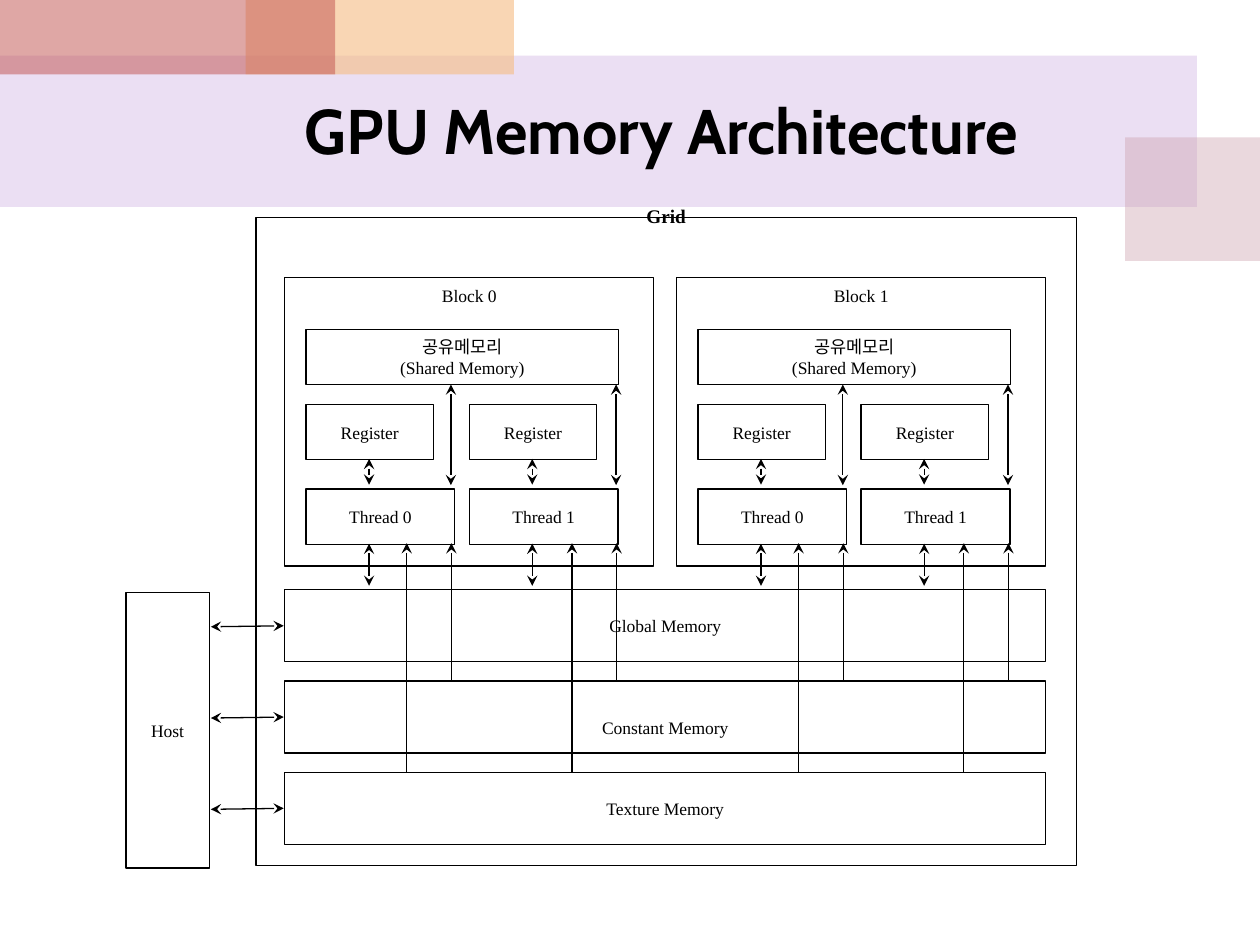
from dataclasses import dataclass

from lxml import etree
from pptx import Presentation
from pptx.dml.color import RGBColor
from pptx.enum import shapes, text
from pptx.oxml import ns
from pptx.util import Cm, Pt


@dataclass(frozen=True)
class Theme:
    ink: str = "000000"
    banner: str = "BF98D8"
    rose: str = "CC9EAC"
    peach: str = "F5BC83"
    red: str = "C0504D"
    title_font: str = "Cabin"
    label_font: str = "Times New Roman"
    title_size: int = 36
    grid_size: int = 11
    label_size: int = 10
    line_width: float = 0.75


THEME = Theme()
MIDDLE = text.MSO_ANCHOR.MIDDLE
TOP = text.MSO_ANCHOR.TOP


def write(paragraph, words, font, size, bold=False):
    run = paragraph.add_run()
    run.text = words
    run.font.name = font
    run.font.size = Pt(size)
    run.font.bold = bold
    run.font.color.rgb = RGBColor.from_string(THEME.ink)


def rectangle(slide, x, y, w, h):
    rect = slide.shapes.add_shape(
        shapes.MSO_SHAPE.RECTANGLE, Cm(x), Cm(y), Cm(w), Cm(h))
    rect.shadow.inherit = False
    return rect


def tint(slide, x, y, w, h, color, opacity):
    rect = rectangle(slide, x, y, w, h)
    rect.line.fill.background()
    rect.fill.solid()
    rect.fill.fore_color.rgb = RGBColor.from_string(color)
    srgb = rect._element.spPr.find(".//" + ns.qn("a:srgbClr"))
    etree.SubElement(srgb, ns.qn("a:alpha"), val=str(opacity * 1000))


def box(slide, x, y, w, h, lines=(), anchor=MIDDLE, top=0.13):
    rect = rectangle(slide, x, y, w, h)
    rect.fill.background()
    rect.line.color.rgb = RGBColor.from_string(THEME.ink)
    rect.line.width = Pt(THEME.line_width)
    frame = rect.text_frame
    frame.word_wrap = False
    frame.vertical_anchor = anchor
    frame.margin_top = Cm(top)
    for index, words in enumerate(lines):
        paragraph = frame.add_paragraph() if index else frame.paragraphs[0]
        paragraph.alignment = text.PP_ALIGN.CENTER
        write(paragraph, words, THEME.label_font, THEME.label_size)


def arrow(slide, x1, y1, x2, y2, both=True):
    link = slide.shapes.add_connector(
        shapes.MSO_CONNECTOR.STRAIGHT, Cm(x1), Cm(y1), Cm(x2), Cm(y2))
    link.line.color.rgb = RGBColor.from_string(THEME.ink)
    link.line.width = Pt(THEME.line_width)
    properties = link._element.spPr
    outline = properties.find(ns.qn("a:ln"))
    for end in ("a:headEnd", "a:tailEnd")[:2 if both else 1]:
        etree.SubElement(outline, ns.qn(end), type="stealth")
    etree.SubElement(properties, ns.qn("a:effectLst"))


def backdrop(slide, width):
    tint(slide, 0, 1.12, 24.13, 3.05, THEME.banner, 30)
    tint(slide, width - 2.72, 2.77, 2.72, 2.49, THEME.rose, 40)
    tint(slide, 4.95, 0, 5.41, 1.5, THEME.peach, 60)
    tint(slide, 0, 0, 6.76, 1.5, THEME.red, 50)


def heading(slide, x, y, w, h):
    title = slide.shapes.title
    title.left, title.top, title.width, title.height = Cm(x), Cm(y), Cm(w), Cm(h)
    frame = title.text_frame
    frame.word_wrap = False
    frame.vertical_anchor = MIDDLE
    paragraph = frame.paragraphs[0]
    paragraph.alignment = text.PP_ALIGN.LEFT
    write(paragraph, "GPU Memory Architecture",
          THEME.title_font, THEME.title_size, True)
    slide.shapes._spTree.append(title._element)


def grid(slide, x, y, w, h):
    box(slide, x, y, w, h)
    label_w, label_h = 3, 0.46
    label = slide.shapes.add_textbox(
        Cm(x + (w - label_w) / 2), Cm(y - 0.04 - label_h / 2),
        Cm(label_w), Cm(label_h))
    frame = label.text_frame
    frame.word_wrap = True
    frame.margin_top = frame.margin_bottom = 0
    frame.vertical_anchor = MIDDLE
    frame.paragraphs[0].alignment = text.PP_ALIGN.CENTER
    write(frame.paragraphs[0], "Grid", THEME.label_font, THEME.grid_size, True)


def block(slide, x, y, w, h, number):
    box(slide, x, y, w, h, [f"Block {number}"], TOP, 0.16)
    box(slide, x + 0.43, y + 1.05, 6.3, 1.12, ["공유메모리", "(Shared Memory)"])
    for thread in range(2):
        column = x + thread * 3.29
        box(slide, column + 0.43, y + 2.56, 2.57, 1.12, ["Register"])
        box(slide, column + 0.43, y + 4.27, 3, 1.12, [f"Thread {thread}"])
        arrow(slide, column + 1.7, y + 3.66, column + 1.7, y + 4.18)
        arrow(slide, column + 1.7, y + 5.37, column + 1.7, y + 6.22)
        lane = x + thread * 3.33
        arrow(slide, lane + 3.35, y + 2.16, lane + 3.35, y + 4.19)
        arrow(slide, lane + 2.46, y + 5.36, lane + 2.46, y + 9.98, both=False)
        arrow(slide, lane + 3.36, y + 5.36, lane + 3.36, y + 8.15, both=False)


def memories(slide, x, y, w, h, pitch, host_edge):
    for index, (memory, top) in enumerate(
            [("Global", 0.13), ("Constant", 0.56), ("Texture", 0.13)]):
        row = y + index * pitch
        box(slide, x, row, w, h, [f"{memory} Memory"], top=top)
        middle = row + h / 2
        arrow(slide, x - 0.02, middle, host_edge + 0.03, middle + 0.02)


def memory_slide(deck):
    slide = deck.slides.add_slide(deck.slide_layouts[5])
    backdrop(slide, 25.4)
    grid(slide, 5.16, 4.39, 16.54, 13.06)
    for number in range(2):
        block(slide, 5.74 + number * 7.9, 5.59, 7.44, 5.82, number)
    memories(slide, 5.74, 11.89, 15.34, 1.45, 1.84, 4.22)
    box(slide, 2.54, 11.94, 1.68, 5.56, ["Host"])
    heading(slide, 5.89, 1.71, 16, 1.8)


deck = Presentation()
deck.slide_width, deck.slide_height = Cm(25.4), Cm(19.05)
memory_slide(deck)
deck.save("out.pptx")
